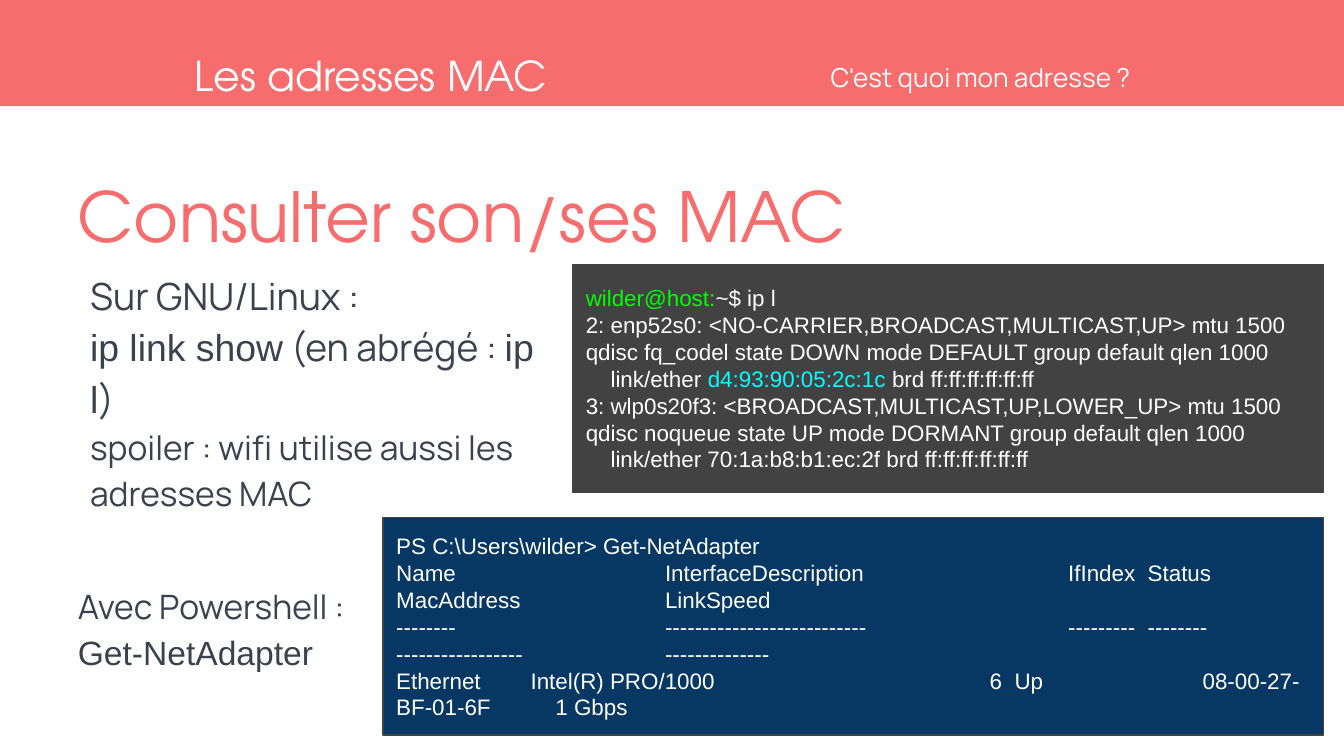
from dataclasses import dataclass

from pptx import Presentation
from pptx.dml.color import RGBColor as RGB
from pptx.enum.shapes import MSO_SHAPE as SHAPE
from pptx.enum.text import MSO_ANCHOR as ANCHOR, PP_ALIGN as ALIGN
from pptx.util import Inches, Pt


@dataclass(frozen=True)
class Theme:
    coral: str = "F76C6C"
    ink: str = "3B424E"
    white: str = "FFFFFF"
    terminal: str = "424242"
    powershell: str = "073763"
    prompt: str = "00FF00"
    address: str = "00FFFF"
    display: str = "TeX Gyre Adventor"
    body: str = "Manrope"
    code: str = "Arial"
    title: int = 37
    section: int = 22
    lead: int = 20
    note: int = 18
    topic: int = 14
    listing: int = 12


def add_text(p, text, *, size, font, color):
    r = p.add_run()
    r.text = text
    r.font.size = Pt(size)
    r.font.name = font
    r.font.color.rgb = RGB.from_string(color)


class SlideBuilder:
    def __init__(self, slide, theme):
        self.s = slide
        self.theme = theme

    def fill_frame(self, tf, paragraphs, anchor=ANCHOR.MIDDLE, inset=0.0, spacing=None, **style):
        tf.word_wrap = True
        tf.vertical_anchor = anchor
        tf.margin_left = tf.margin_right = Inches(inset)
        tf.margin_top = tf.margin_bottom = Inches(inset)
        for i, runs in enumerate(paragraphs):
            p = tf.add_paragraph() if i else tf.paragraphs[0]
            p.alignment = ALIGN.LEFT
            p._p.get_or_add_pPr().set("defTabSz", str(Inches(1)))
            if spacing:
                p.line_spacing = spacing
            for run in [runs] if isinstance(runs, str) else runs:
                text, changes = (run, {}) if isinstance(run, str) else run
                add_text(p, text, **{**style, **changes})

    def text(self, box, paragraphs, **fmt):
        sp = self.s.shapes.add_textbox(*map(Inches, box))
        self.fill_frame(sp.text_frame, paragraphs, **fmt)

    def rect(self, box, fill, line=None):
        sp = self.s.shapes.add_shape(SHAPE.RECTANGLE, *map(Inches, box))
        sp.shadow.inherit = False
        sp.fill.solid()
        sp.fill.fore_color.rgb = RGB.from_string(fill)
        if line:
            sp.line.color.rgb = RGB.from_string(line)
            sp.line.width = Pt(0.75)
        else:
            sp.line.fill.background()
        return sp

    def console(self, box, fill, lines):
        t = self.theme
        sp = self.rect(box, fill, t.terminal)
        self.fill_frame(sp.text_frame, lines, inset=0.1,
                        size=t.listing, font=t.code, color=t.white)


def main():
    prs = Presentation()
    prs.slide_width = Inches(10)
    prs.slide_height = prs.slide_width * 9 // 16
    t = Theme()
    b = SlideBuilder(prs.slides.add_slide(prs.slide_layouts[6]), t)

    b.rect((-0.02, 0, 10.04, 0.79), t.coral)
    b.text((6.18, 0.38, 3.84, 0.39), ["C'est quoi mon adresse ?"],
           size=t.topic, font=t.body, color=t.white)
    b.text((1.45, 0.16, 4.69, 0.79), ["Les adresses MAC"],
           size=t.section, font=t.display, color=t.white)
    b.text((0.58, 1.29, 9.26, 0.58), ["Consulter son/ses MAC"], anchor=ANCHOR.TOP,
           size=t.title, font=t.display, color=t.coral)

    code = {"font": t.code}
    b.text((0.67, 2.14, 3.52, 1.52), [
        "Sur GNU/Linux :",
        [("ip link show", code), " (en abrégé : ", ("ip l", code), ")"],
        [("spoiler : wifi utilise aussi les adresses MAC", {"size": t.note})],
    ], spacing=1.15, size=t.lead, font=t.body, color=t.ink)

    b.console((4.26, 1.97, 5.59, 1.69), t.terminal, [
        [("wilder@host:", {"color": t.prompt}), "~$ ip l"],
        "2: enp52s0: <NO-CARRIER,BROADCAST,MULTICAST,UP> mtu 1500 "
        "qdisc fq_codel state DOWN mode DEFAULT group default qlen 1000",
        ["    link/ether ", ("d4:93:90:05:2c:1c", {"color": t.address}),
         " brd ff:ff:ff:ff:ff:ff"],
        "3: wlp0s20f3: <BROADCAST,MULTICAST,UP,LOWER_UP> mtu 1500 "
        "qdisc noqueue state UP mode DORMANT group default qlen 1000",
        "    link/ether 70:1a:b8:b1:ec:2f brd ff:ff:ff:ff:ff:ff",
    ])
    b.console((2.85, 3.85, 7, 1.62), t.powershell, [
        "PS C:\\Users\\wilder> Get-NetAdapter",
        "Name\t\tInterfaceDescription\t\tIfIndex  Status\tMacAddress\t\tLinkSpeed",
        "--------\t\t---------------------------\t\t---------  --------"
        "\t-----------------\t\t--------------",
        "Ethernet\tIntel(R) PRO/1000\t\t         6  Up\t\t08-00-27-BF-01-6F\t    1 Gbps",
    ])
    b.text((0.58, 3.85, 2.14, 1.62), ["Avec Powershell :", [("Get-NetAdapter", code)]],
           spacing=1.15, size=t.note, font=t.body, color=t.ink)

    prs.save("out.pptx")


if __name__ == "__main__":
    main()
